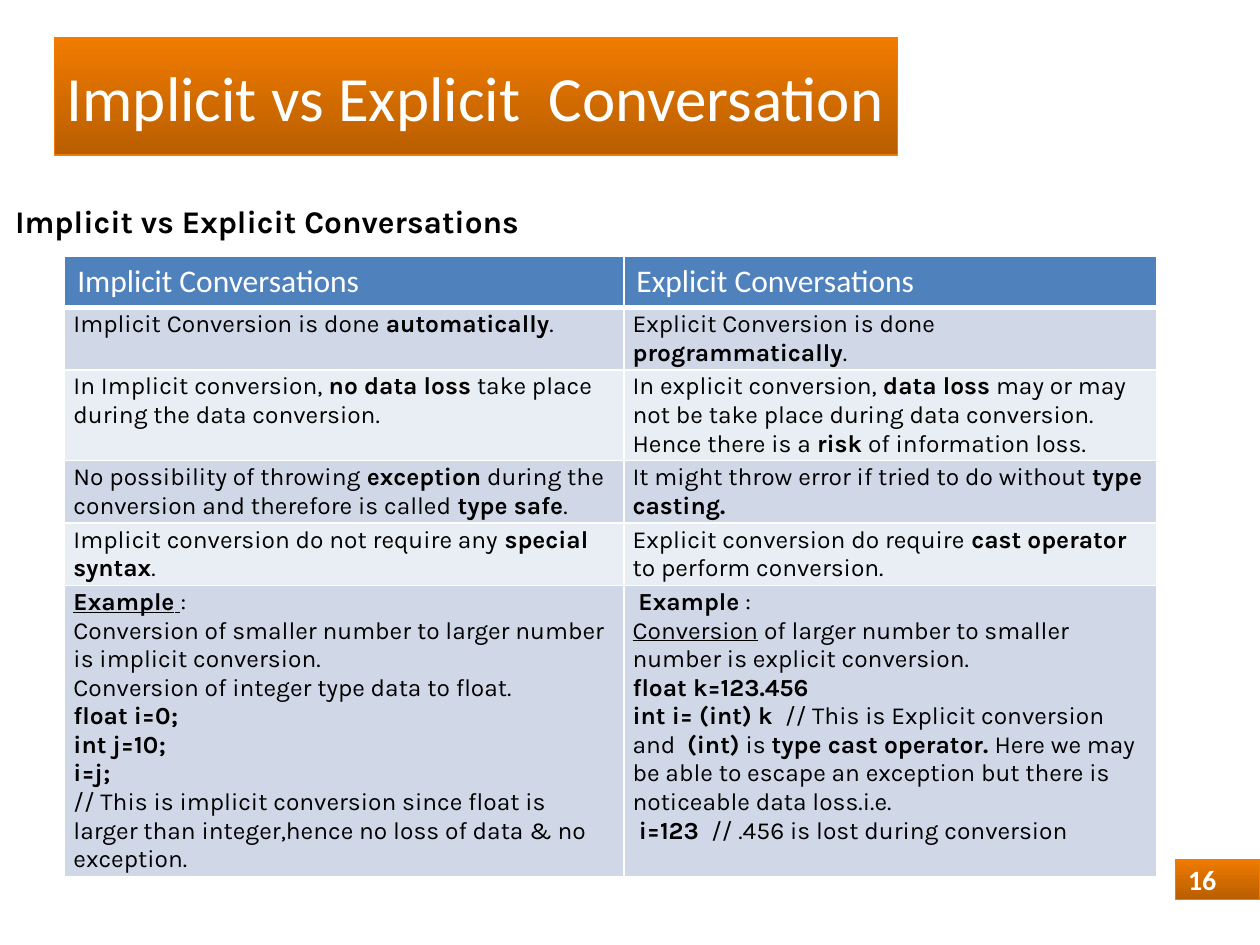
from lxml.etree import SubElement
from pptx import Presentation
from pptx.dml.color import RGBColor
from pptx.enum.shapes import MSO_SHAPE
from pptx.enum.text import MSO_ANCHOR as ANCHOR, MSO_AUTO_SIZE as AUTO, PP_ALIGN as ALIGN
from pptx.oxml.ns import qn
from pptx.util import Pt

WHITE = RGBColor(0xFF, 0xFF, 0xFF)
BLACK = RGBColor(0x00, 0x00, 0x00)
ORANGE = RGBColor(0xF0, 0x7B, 0x00)
DARK_ORANGE = RGBColor(0xB9, 0x5E, 0x00)
ORANGE_LINE = RGBColor(0xF0, 0x7C, 0x02)
HEADER_BLUE = RGBColor(0x4F, 0x81, 0xBD)
BANDS = (RGBColor(0xD0, 0xD8, 0xE8), RGBColor(0xE9, 0xED, 0xF4))

COLUMN_WIDTHS = (319.5, 304.7)
ROW_HEIGHTS = (28.4, 35.6, 51.6, 35.6, 35.6, 165.8)
HEADERS = ("Implicit Conversations", "Explicit Conversations")

# A cell is a list of paragraphs, a paragraph a list of (text, style) runs;
# style letters: b = bold, u = underlined.
ROWS = [
    (
        [[("Implicit Conversion is done ", ""), ("automatically", "b"), (".", "")]],
        [[("Explicit Conversion is done ", ""), ("programmatically", "b"), (".", "")]],
    ),
    (
        [[("In Implicit conversion, ", ""), ("no data loss", "b"),
          (" take place during the data conversion.", "")]],
        [[("In explicit conversion, ", ""), ("data loss", "b"),
          (" may or may not be take place during data conversion. "
           "Hence there is a ", ""),
          ("risk", "b"), (" of information loss.", "")]],
    ),
    (
        [[("No possibility of throwing ", ""), ("exception", "b"),
          (" during the conversion and therefore is called ", ""),
          ("type safe", "b"), (".", "")]],
        [[("It might throw error if tried to do without ", ""),
          ("type casting.", "b")]],
    ),
    (
        [[("Implicit conversion do not require any", ""),
          (" special syntax", "b"), (".", "")]],
        [[("Explicit conversion do require", ""), (" cast operator", "b"),
          (" to perform conversion.", "")]],
    ),
    (
        [
            [("Example", "bu"), (" ", "u"),
             (":\nConversion of smaller number to larger number is implicit conversion."
              "\nConversion of integer type data to float.", "")],
            [("float i=0;\nint j=10;\ni=j;", "b")],
            [("// This is implicit conversion since float is larger than integer,"
              "hence no loss of data & no exception.", "")],
        ],
        [
            [(" ", ""), ("Example", "b"), (" :\n", ""), ("Conversion", "u"),
             (" of larger number to smaller number is explicit conversion.", "")],
            [("float k=123.456\nint i= (int) k  ", "b"),
             ("// This is Explicit conversion  and  ", ""), ("(int)", "b"),
             (" is ", ""), ("type cast operator.", "b"),
             (" Here we may be able to escape an exception but there is "
              "noticeable data loss.i.e.", "")],
            [(" i=123  ", "b"), ("// .456 is lost during conversion", "")],
        ],
    ),
]


def add_run(p, text, font, size, color, style=""):
    """Add text to a paragraph, with a line break at each newline."""
    for i, line in enumerate(text.split("\n")):
        if i:
            p.add_line_break()
        if line:
            r = p.add_run()
            r.text = line
            r.font.name, r.font.size = font, Pt(size)
            r.font.color.rgb = color
            r.font.bold = "b" in style
            r.font.underline = "u" in style


def place(sp, left, top, width, height):
    sp.left, sp.top, sp.width, sp.height = Pt(left), Pt(top), Pt(width), Pt(height)


def set_text(sp, text, font, size, color, style="", anchor=ANCHOR.MIDDLE):
    tf = sp.text_frame
    tf.word_wrap = True
    tf.auto_size = AUTO.NONE
    tf.vertical_anchor = anchor
    p = tf.paragraphs[0]
    p.alignment = ALIGN.LEFT
    p.space_before = Pt(0)
    add_run(p, text, font, size, color, style)


def style_orange_box(sp):
    sp.fill.gradient()
    sp.fill.gradient_angle = 90
    for stop, color in zip(sp.fill.gradient_stops, (DARK_ORANGE, ORANGE)):
        stop.color.rgb = color
    sp.line.color.rgb = ORANGE_LINE
    sp.line.width = Pt(0.75)


def add_title(s):
    sp = s.shapes.title
    place(sp, 31, 21.6, 481.7, 67)
    style_orange_box(sp)
    set_text(sp, "Implicit vs Explicit  Conversation", "Calibri", 36, WHITE)
    sp.text_frame.word_wrap = False


def add_subheading(s):
    sp = s.placeholders[1]
    place(sp, 1.4, 111.6, 718.6, 402.5)
    set_text(sp, "Implicit vs Explicit Conversations", "Karla", 18, BLACK, "b", ANCHOR.TOP)
    pPr = sp.text_frame.paragraphs[0]._p.get_or_add_pPr()
    pPr.set("marL", "0")
    pPr.set("indent", "0")
    SubElement(pPr, qn("a:buNone"))


def add_page_number(s):
    sp = s.shapes.add_shape(MSO_SHAPE.RECTANGLE, Pt(671.8), Pt(491), Pt(48.2), Pt(23))
    sp.shadow.inherit = False
    style_orange_box(sp)
    set_text(sp, "16", "Calibri", 16, WHITE, "b")


def set_borders(cell, bottom):
    """Draw white cell borders, 1 pt except for the bottom one."""
    tcPr = cell._tc.get_or_add_tcPr()
    for i, (side, width) in enumerate(zip("LRTB", (1, 1, 1, bottom))):
        ln = tcPr.makeelement(qn(f"a:ln{side}"), {"w": str(int(Pt(width)))})
        fill = SubElement(ln, qn("a:solidFill"))
        SubElement(fill, qn("a:srgbClr"), val=str(WHITE))
        tcPr.insert(i, ln)


def format_cell(cell, color, bottom=1):
    cell.fill.solid()
    cell.fill.fore_color.rgb = color
    set_borders(cell, bottom)


def fill_body_cell(cell, paragraphs):
    cell.margin_left = cell.margin_right = Pt(5)
    cell.margin_top = cell.margin_bottom = Pt(1.5)
    tf = cell.text_frame
    for i, runs in enumerate(paragraphs):
        p = tf.add_paragraph() if i else tf.paragraphs[0]
        for text, style in runs:
            add_run(p, text, "Karla", 14, BLACK, style)


def add_comparison_table(s):
    table = s.shapes.add_table(len(ROW_HEIGHTS), len(COLUMN_WIDTHS), Pt(37), Pt(146.5),
                               Pt(sum(COLUMN_WIDTHS)), Pt(sum(ROW_HEIGHTS))).table
    for column, width in zip(table.columns, COLUMN_WIDTHS):
        column.width = Pt(width)
    for row, height in zip(table.rows, ROW_HEIGHTS):
        row.height = Pt(height)
    for c, header in enumerate(HEADERS):
        cell = table.cell(0, c)
        format_cell(cell, HEADER_BLUE, bottom=3)
        add_run(cell.text_frame.paragraphs[0], header, "Calibri", 18, WHITE)
    for r, row in enumerate(ROWS):
        for c, paragraphs in enumerate(row):
            cell = table.cell(r + 1, c)
            format_cell(cell, BANDS[r % 2])
            fill_body_cell(cell, paragraphs)


def main():
    prs = Presentation()
    prs.slide_width, prs.slide_height = Pt(720), Pt(540)
    s = prs.slides.add_slide(prs.slide_layouts[1])
    add_title(s)
    add_page_number(s)
    add_subheading(s)
    add_comparison_table(s)
    prs.save("out.pptx")


if __name__ == "__main__":
    main()
